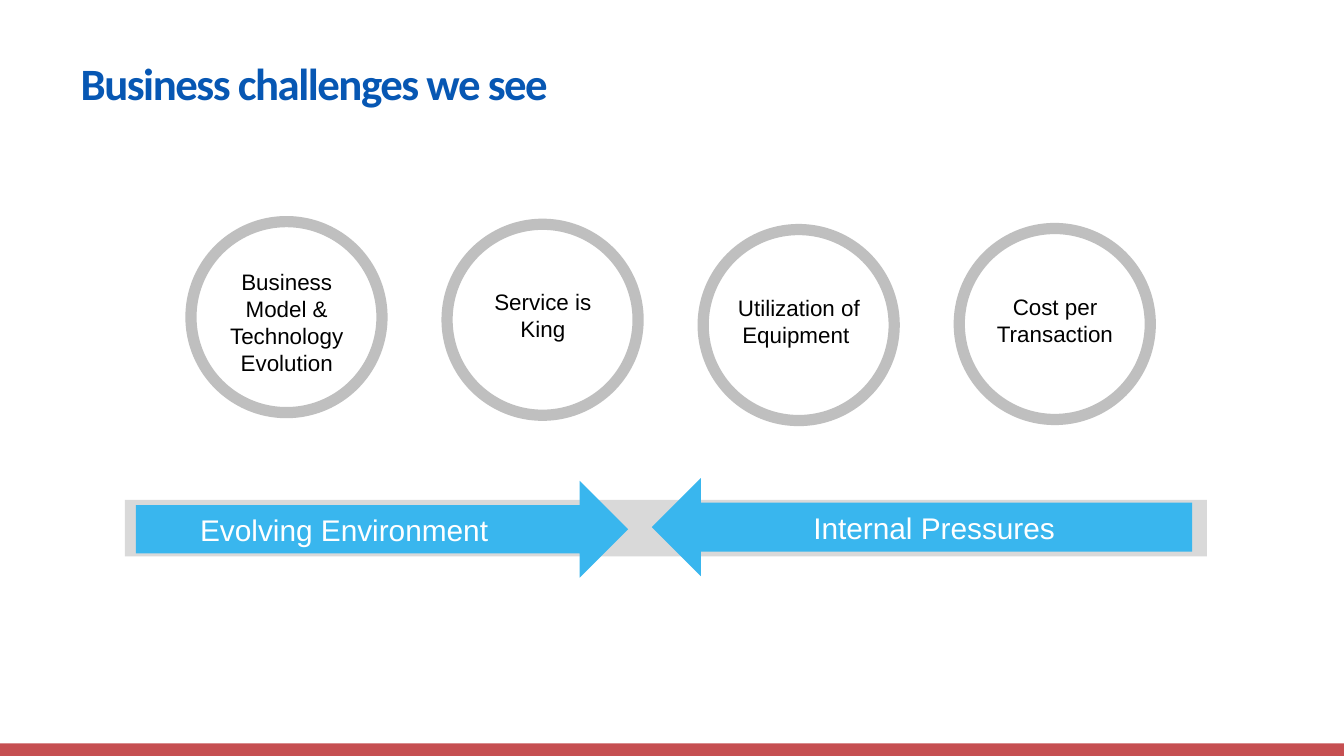
import pptx
import pptx.dml.color
import pptx.enum.shapes
import pptx.enum.text
import pptx.util
from dataclasses import dataclass

Cm = pptx.util.Cm
Pt = pptx.util.Pt
Shape = pptx.enum.shapes.MSO_SHAPE
Align = pptx.enum.text.PP_ALIGN
Anchor = pptx.enum.text.MSO_ANCHOR


@dataclass(frozen=True)
class Theme:
    title_color: str = "0757B3"
    arrow_color: str = "39B6EE"
    track_color: str = "D9D9D9"
    ring_color: str = "BFBFBF"
    footer_color: str = "C64F51"
    title_size: int = 24
    arrow_size: int = 16
    ring_size: int = 12
    ring_line: int = 6


theme = Theme()


def add_filled(kind, left, top, width, height, color=None):
    """Add a preset shape without outline or shadow; no color means no fill."""
    shape = page.shapes.add_shape(kind, Cm(left), Cm(top), Cm(width), Cm(height))
    shape.shadow.inherit = False
    shape.line.fill.background()
    if color:
        shape.fill.solid()
        shape.fill.fore_color.rgb = pptx.dml.color.RGBColor.from_string(color)
    else:
        shape.fill.background()
    return shape


def write(box, text, size, color, font="Arial", align=Align.CENTER):
    box.text_frame.word_wrap = True
    para = box.text_frame.paragraphs[0]
    para.alignment = align
    span = para.add_run()
    span.text = text
    span.font.name = font
    span.font.size = Pt(size)
    span.font.color.rgb = pptx.dml.color.RGBColor.from_string(color)
    return span


deck = pptx.Presentation()
deck.slide_width, deck.slide_height = Cm(25.4), Cm(14.29)
page = deck.slides.add_slide(deck.slide_layouts[5])

# Footer band and title
add_filled(Shape.RECTANGLE, 0, 14.05, 25.4, 0.24, theme.footer_color)

title = page.shapes.title
title.left, title.top, title.width, title.height = Cm(1.27), Cm(1.07), Cm(22.23), Cm(0.99)
title.text_frame.auto_size = pptx.enum.text.MSO_AUTO_SIZE.NONE
title.text_frame.vertical_anchor = Anchor.MIDDLE
span = write(title, "Business challenges we see", theme.title_size,
             theme.title_color, "Calibri", Align.LEFT)
span.font.bold = True
span.font._element.set("spc", "-80")

# Opposing arrows on a grey track
add_filled(Shape.RECTANGLE, 2.36, 9.45, 20.45, 1.07, theme.track_color)
arrows = [
    (Shape.RIGHT_ARROW, 2.57, 9.09, 9.3, 1.83, 1.1, "Evolving Environment"),
    (Shape.LEFT_ARROW, 12.32, 9.04, 10.21, 1.85, 0.13, "Internal Pressures"),
]
for kind, left, top, width, height, right_inset, text in arrows:
    arrow = add_filled(kind, left, top, width, height, theme.arrow_color)
    frame = arrow.text_frame
    frame.vertical_anchor = Anchor.MIDDLE
    frame.margin_left, frame.margin_right = Cm(0.13), Cm(right_inset)
    frame.margin_top = frame.margin_bottom = Cm(0.05)
    write(arrow, text, theme.arrow_size, "FFFFFF")

# Row of rings: top, label offset from the ring's top, label
ring_left, ring_step, ring_diameter = 3.61, 4.84, 3.61
rings = [
    (4.19, 0.76, "Business Model & Technology Evolution"),
    (4.24, 1.09, "Service is King"),
    (4.34, 1.09, "Utilization of Equipment "),
    (4.32, 1.09, "Cost per Transaction"),
]
for index, (top, offset, text) in enumerate(rings):
    left = ring_left + index * ring_step
    label = page.shapes.add_textbox(Cm(left + 0.25), Cm(top + offset), Cm(3.12), Cm(1.45))
    write(label, text, theme.ring_size, "000000")
    ring = add_filled(Shape.OVAL, left, top, ring_diameter, ring_diameter)
    ring.line.color.rgb = pptx.dml.color.RGBColor.from_string(theme.ring_color)
    ring.line.width = Pt(theme.ring_line)

deck.save("out.pptx")
